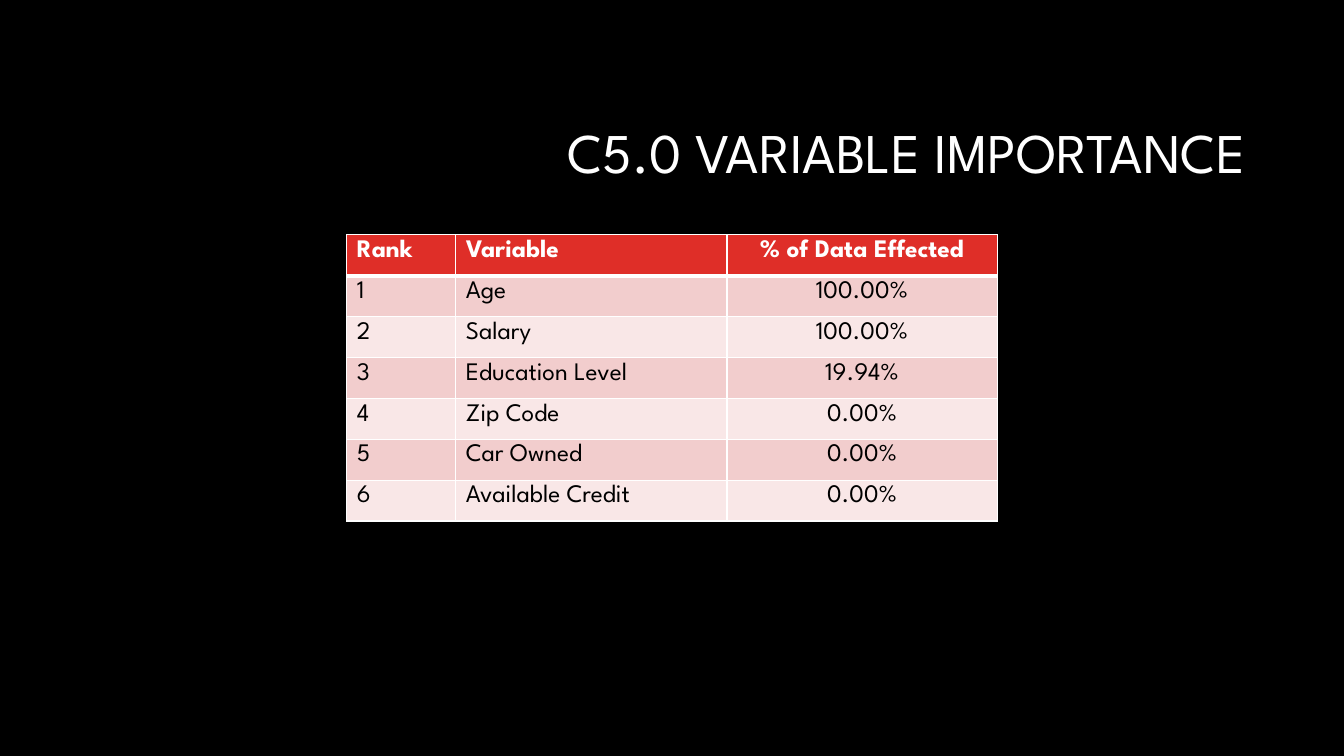
import pptx
import pptx.util
import pptx.dml.color
import pptx.enum.text
import pptx.oxml.ns
from lxml import etree

Inches = pptx.util.Inches
Pt = pptx.util.Pt
RGBColor = pptx.dml.color.RGBColor
Align = pptx.enum.text.PP_ALIGN

BLACK = RGBColor(0x00, 0x00, 0x00)
WHITE = RGBColor(0xFF, 0xFF, 0xFF)
RED = RGBColor(0xDF, 0x2E, 0x28)
PINK = RGBColor(0xF2, 0xCD, 0xCD)
PALE_PINK = RGBColor(0xF9, 0xE7, 0xE7)
FONT = "League Spartan"

ROWS = [
    ("Rank", "Variable", "% of Data Effected"),
    ("1", "Age", "100.00%"),
    ("2", "Salary", "100.00%"),
    ("3", "Education Level", "19.94%"),
    ("4", "Zip Code", "0.00%"),
    ("5", "Car Owned", "0.00%"),
    ("6", "Available Credit", "0.00%"),
]
COLUMN_WIDTHS = (1.08, 2.69, 2.68)
ALIGNMENTS = (Align.LEFT, Align.LEFT, Align.CENTER)
ROW_HEIGHT = 2.84 / len(ROWS)


def set_font(paragraph, size, color, bold=False):
    paragraph.font.name = FONT
    paragraph.font.size = Pt(size)
    paragraph.font.color.rgb = color
    paragraph.font.bold = bold


def add_border(cell, side, width):
    properties = cell._tc.get_or_add_tcPr()
    line = etree.Element(pptx.oxml.ns.qn(f"a:ln{side}"), w=str(Pt(width)))
    fill = etree.SubElement(line, pptx.oxml.ns.qn("a:solidFill"))
    etree.SubElement(fill, pptx.oxml.ns.qn("a:srgbClr"), val=str(WHITE))
    properties.insert("LRTB".index(side), line)


deck = pptx.Presentation()
deck.slide_width = Inches(13.33)
deck.slide_height = Inches(7.5)
page = deck.slides.add_slide(deck.slide_layouts[5])
page.background.fill.solid()
page.background.fill.fore_color.rgb = BLACK

title = page.shapes.title
title.left, title.top = Inches(3.17), Inches(0.84)
title.width, title.height = Inches(9.42), Inches(1.41)
title.text_frame.vertical_anchor = pptx.enum.text.MSO_ANCHOR.MIDDLE
title.text_frame.text = "C5.0 VARIABLE IMPORTANCE "
heading = title.text_frame.paragraphs[0]
heading.alignment = Align.RIGHT
heading.line_spacing = 0.9
set_font(heading, 40, WHITE)

frame = page.shapes.add_table(
    len(ROWS), len(COLUMN_WIDTHS), Inches(3.44), Inches(2.33),
    Inches(sum(COLUMN_WIDTHS)), Inches(ROW_HEIGHT * len(ROWS)))
table = frame.table
for column, width in zip(table.columns, COLUMN_WIDTHS):
    column.width = Inches(width)

for row_number, values in enumerate(ROWS):
    table.rows[row_number].height = Inches(ROW_HEIGHT)
    is_header = row_number == 0
    row_fill = RED if is_header else PINK if row_number % 2 else PALE_PINK
    for column_number, value in enumerate(values):
        cell = table.cell(row_number, column_number)
        cell.text = value
        cell.fill.solid()
        cell.fill.fore_color.rgb = row_fill
        para = cell.text_frame.paragraphs[0]
        para.alignment = ALIGNMENTS[column_number]
        set_font(para, 18, WHITE if is_header else BLACK, is_header)
        for side in "LRTB":
            header_edge = (row_number, side) in ((0, "B"), (1, "T"))
            add_border(cell, side, 3 if header_edge else 0.96)

deck.save("out.pptx")
